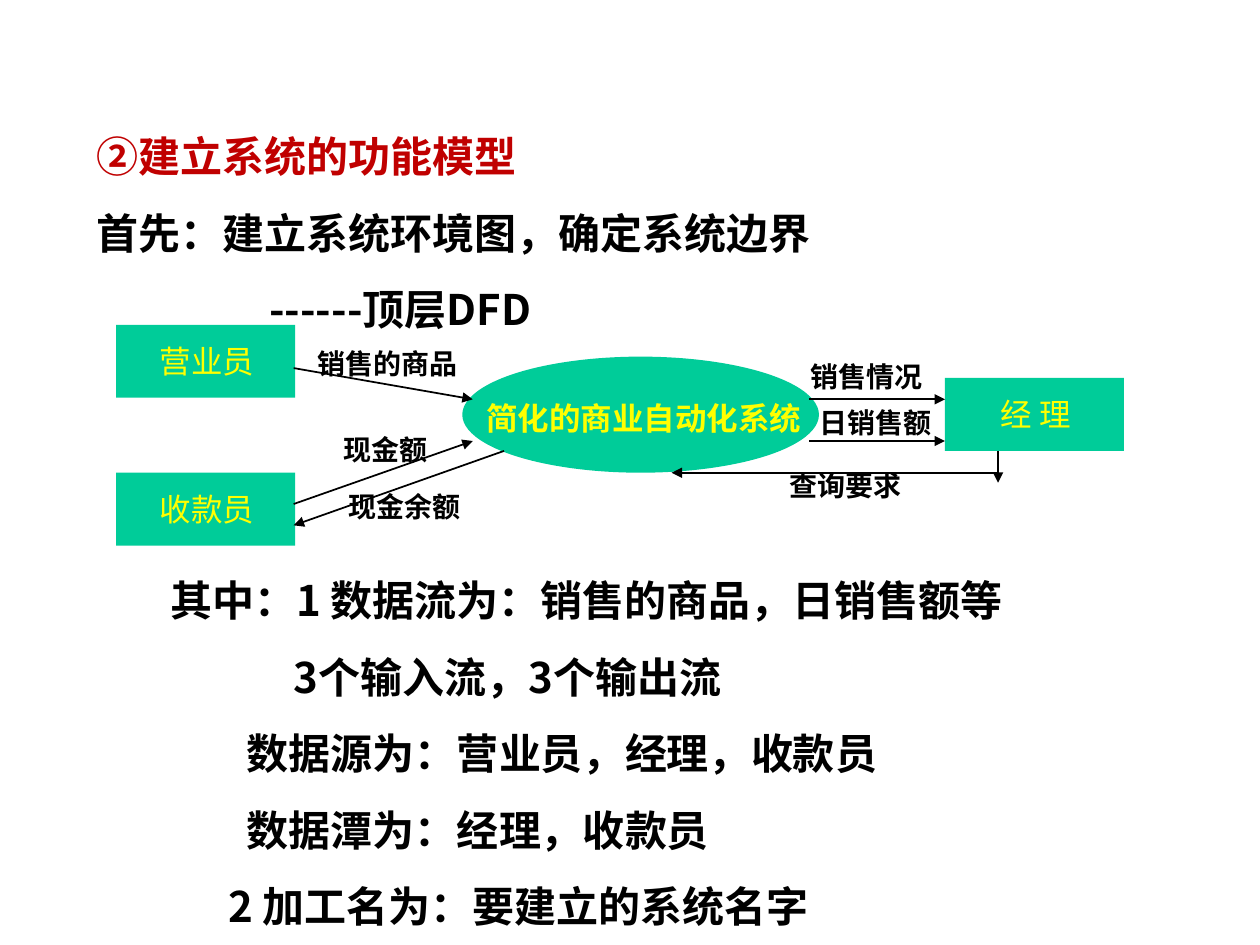
from pptx import Presentation
from pptx import util as u
from pptx.dml.color import RGBColor
from pptx.enum import shapes, text
from pptx.oxml import ns
from lxml import etree

SANS = "Noto Sans CJK SC"
SERIF = "Times New Roman"


def tint(code):
    """Turn a hex string into a colour."""
    return RGBColor.from_string(code)


def write(para, words, size=24, face=SANS, ink="000000", bold=True):
    """Add a run with its format to a paragraph."""
    run = para.add_run()
    run.text = words
    font = run.font
    font.size, font.name, font.bold = u.Pt(size), face, bold
    font.color.rgb = tint(ink)
    east = etree.SubElement(run._r.get_or_add_rPr(), ns.qn("a:ea"))
    east.set("typeface", SANS)


class Deck:
    """Hold the style and the current slide."""

    green, yellow, red, black = "00CC99", "FFFF00", "C00000", "000000"

    def __init__(self):
        """Start a file with one title-only slide."""
        self.file = Presentation()
        self.file.slide_width, self.file.slide_height = u.Cm(25.4), u.Cm(19.05)
        self.slide = self.file.slides.add_slide(self.file.slide_layouts[5])

    def frame(self, box, wrap=True):
        """Set up the text frame of a box."""
        frame = box.text_frame
        frame.word_wrap = wrap
        frame.auto_size = text.MSO_AUTO_SIZE.NONE
        frame.vertical_anchor = text.MSO_ANCHOR.TOP
        frame.margin_left = frame.margin_right = u.Cm(0.25)
        frame.margin_top = frame.margin_bottom = u.Cm(0.13)
        return frame

    def lines(self, box, rows):
        """Fill a box with indented rows of runs."""
        frame = self.frame(box)
        for num, (indent, runs) in enumerate(rows):
            para = frame.add_paragraph() if num else frame.paragraphs[0]
            props = para._p.get_or_add_pPr()
            props.set("marL", str(u.Cm(indent)))
            props.set("indent", "0")
            para.alignment = text.PP_ALIGN.LEFT
            para.line_spacing = u.Pt(28.8)
            para.space_before = u.Pt(15 if num else 0)
            for words, style in runs:
                write(para, words, **style)

    def title(self, x, y, w, h, rows):
        """Place and fill the title."""
        box = self.slide.shapes.title
        box.left, box.top, box.width, box.height = map(u.Cm, (x, y, w, h))
        self.lines(box, rows)

    def body(self, x, y, w, h, rows):
        """Add a box of rows."""
        box = self.slide.shapes.add_textbox(*map(u.Cm, (x, y, w, h)))
        self.lines(box, rows)

    def node(self, kind, x, y, w, h):
        """Add a plain green shape."""
        node = self.slide.shapes.add_shape(kind, *map(u.Cm, (x, y, w, h)))
        node.shadow.inherit = False
        node.fill.solid()
        node.fill.fore_color.rgb = tint(self.green)
        node.line.fill.background()

    def label(self, words, x, y, w, h=0.94, **style):
        """Add a one-line label."""
        box = self.slide.shapes.add_textbox(*map(u.Cm, (x, y, w, h)))
        para = self.frame(box, False).paragraphs[0]
        para.alignment = text.PP_ALIGN.CENTER
        write(para, words, **{"size": 16, "face": SERIF, **style})

    def arrow(self, x1, y1, x2, y2, width=1):
        """Add a line with an arrowhead at its end."""
        line = self.slide.shapes.add_connector(
            shapes.MSO_CONNECTOR.STRAIGHT, *map(u.Cm, (x1, y1, x2, y2)))
        line.line.color.rgb = tint(self.black)
        line.line.width = u.Pt(width)
        tail = etree.SubElement(line.line._get_or_add_ln(), ns.qn("a:tailEnd"))
        tail.set("type", "triangle")
        etree.SubElement(line._element.spPr, ns.qn("a:effectLst"))


def main():
    """Build the slide."""
    deck = Deck()
    deck.title(1.7, 2.5, 21.62, 4.37, [
        (0, [("②", {"face": "Arial", "ink": deck.red}),
             ("建立系统的功能模型", {"ink": deck.red})]),
        (0, [("首先：建立系统环境图，确定系统边界", {})]),
        (3.48, [("------顶层DFD", {})]),
    ])

    name = {"size": 18, "ink": deck.yellow, "h": 1.02}
    deck.node(shapes.MSO_SHAPE.OVAL, 9.32, 7.19, 7.19, 2.34)
    deck.label("简化的商业自动化系统", 9.55, 7.92, 6.86, **name)
    for words, x, y in [("营业员", 2.34, 6.55), ("收款员", 2.34, 9.53),
                        ("经 理", 19.05, 7.62)]:
        deck.node(shapes.MSO_SHAPE.RECTANGLE, x, y, 3.61, 1.47)
        deck.label(words, x + 0.63, y + 0.22, 2.41, bold=False, **name)

    for ends in [(5.92, 7.42, 9.53, 8.05), (5.92, 10.16, 9.53, 8.89),
                 (10.16, 9.09, 5.92, 10.59), (16.31, 8.05, 19.05, 8.05),
                 (16.31, 8.89, 19.05, 8.89), (20.12, 9.09, 20.12, 9.73, 0.75),
                 (20.12, 9.53, 13.54, 9.53)]:
        deck.arrow(*ends)

    for flow in [("销售的商品", 6.15, 6.86, 3.33), ("现金额", 6.68, 8.59, 2.18),
                 ("现金余额", 6.78, 9.73, 2.74), ("销售情况", 16.1, 7.11, 2.74),
                 ("日销售额", 16.28, 8.05, 2.74), ("查询要求", 15.67, 9.32, 2.74)]:
        deck.label(*flow)

    notes = [(0, "其中：1 数据流为：销售的商品，日销售额等"),
             (2.49, "3个输入流，3个输出流"),
             (1.55, "数据源为：营业员，经理，收款员"),
             (1.55, "数据潭为：经理，收款员"),
             (1.17, "2 加工名为：要建立的系统名字")]
    deck.body(3.18, 11.45, 19.25, 7.47,
              [(indent, [(words, {})]) for indent, words in notes])
    deck.file.save("out.pptx")


if __name__ == "__main__":
    main()
